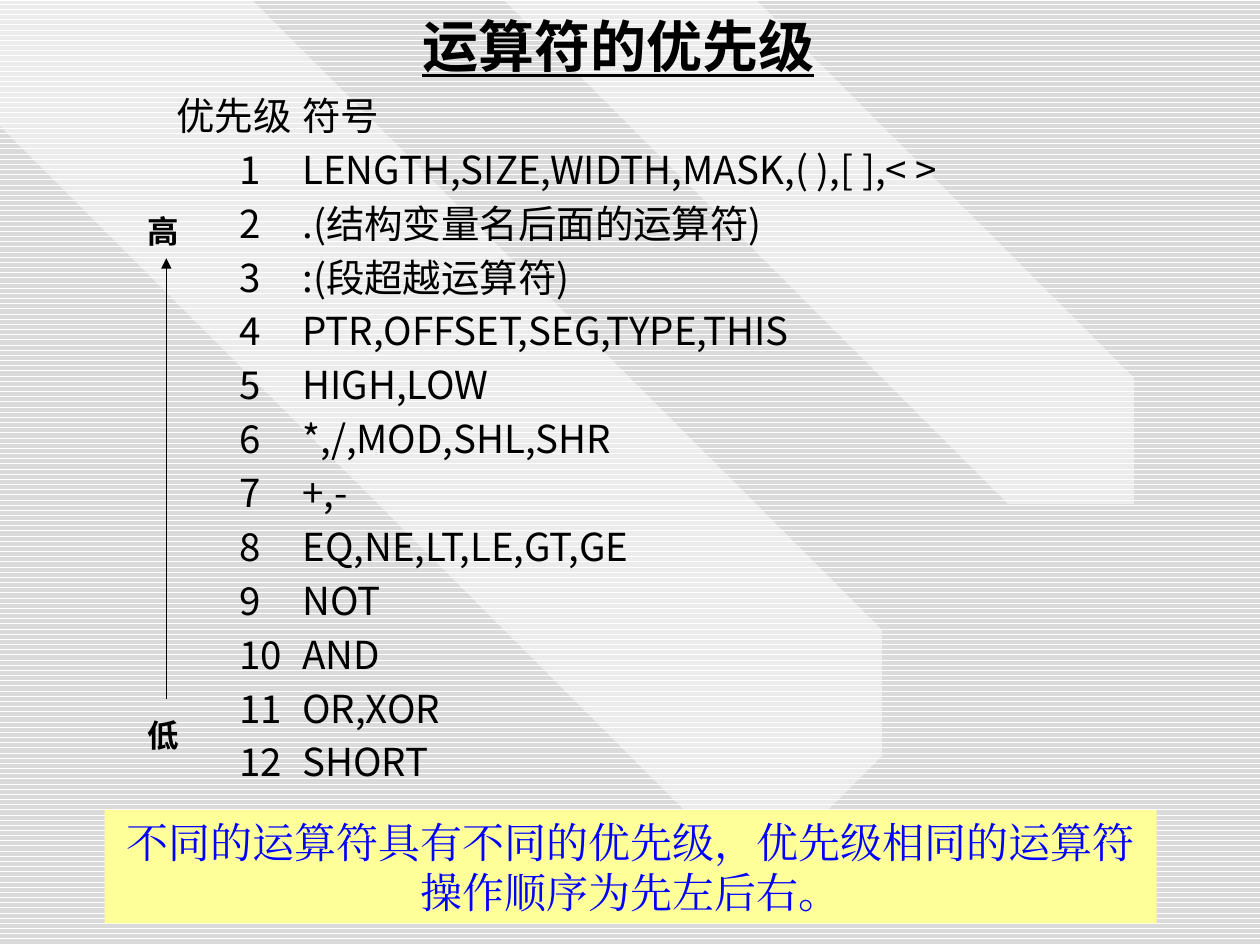
from lxml.etree import SubElement
from pptx import Presentation
from pptx.dml.color import RGBColor
from pptx.enum.dml import MSO_PATTERN
from pptx.enum.shapes import MSO_CONNECTOR, MSO_SHAPE
from pptx.enum.text import MSO_ANCHOR, MSO_AUTO_SIZE, PP_ALIGN
from pptx.oxml.ns import qn
from pptx.util import Emu, Inches, Pt

BLACK = RGBColor(0, 0, 0)
WHITE = RGBColor(255, 255, 255)
STRIPE_GREY = RGBColor(0xDA, 0xDA, 0xDA)
NOTE_YELLOW = RGBColor(0xFF, 0xFF, 0x99)
NOTE_BLUE = RGBColor(0, 0, 0xFF)
SANS, SERIF = "Noto Sans CJK SC", "Times New Roman"

# Diagonal ribbons, corners in inches
RIBBONS = [
    [(6.7, 5.93), (0.79, 0), (0, 0), (0, 0.84), (5.89, 6.75)],
    [(2.14, 0), (7.38, 5.27), (7.06, 5.59), (1.49, 0)],
    [(4.89, 0), (8.76, 3.89), (8.21, 4.44), (3.8, 0)],
    [(5.3, 0), (8.97, 3.68), (9.27, 3.38), (5.91, 0)],
]

# Tab stop of the symbol column, then the symbols of each level in turn
NUMBER_TAB = 0.13
HEADER_TAB = 1.81
LEVELS = [
    (0.99, ["LENGTH,SIZE,WIDTH,MASK,( ),[ ],< >", ".(结构变量名后面的运算符)",
            ":(段超越运算符)", "PTR,OFFSET,SEG,TYPE,THIS"]),
    (1.38, ["HIGH,LOW", "*,/,MOD,SHL,SHR", "+,-", "EQ,NE,LT,LE,GT,GE", "NOT"]),
    (2.37, ["AND", "OR,XOR", "SHORT"]),
]


def place(shape, box):
    for name, value in zip(("left", "top", "width", "height"), box):
        setattr(shape, name, Inches(value))


def format_frame(frame, **values):
    defaults = {"word_wrap": True, "auto_size": MSO_AUTO_SIZE.NONE,
                "vertical_anchor": MSO_ANCHOR.TOP}
    for name, value in {**defaults, **values}.items():
        setattr(frame, name, value)


def write(paragraph, text, size, color=BLACK, face=SANS, align=PP_ALIGN.LEFT, **values):
    paragraph.alignment = align
    run = paragraph.add_run()
    run.text = text
    run.font.color.rgb = color
    for name, value in {"size": Pt(size), "name": face, **values}.items():
        setattr(run.font, name, value)
    SubElement(run.font._element, qn("a:ea"), typeface=face)


def set_tabs(paragraph, stops):
    """Turn the bullet and indent off and set tab stops in inches."""
    properties = paragraph._p.get_or_add_pPr()
    properties.set("marL", "0")
    properties.set("indent", "0")
    SubElement(properties, qn("a:buNone"))
    tabs = SubElement(properties, qn("a:tabLst"))
    for stop in stops:
        SubElement(tabs, qn("a:tab"), pos=str(Inches(stop)), algn="l")


def add_background(slide):
    fill = slide.background.fill
    fill.patterned()
    fill.pattern = MSO_PATTERN.DARK_HORIZONTAL
    fill.fore_color.rgb = STRIPE_GREY
    fill.back_color.rgb = WHITE
    for index, (start, *others) in enumerate(RIBBONS):
        builder = slide.shapes.build_freeform(*start, scale=Inches(1))
        builder.add_line_segments(others, close=True)
        ribbon = builder.convert_to_shape()
        ribbon.shadow.inherit = False
        ribbon.line.fill.background()
        ribbon.fill.solid()
        ribbon.fill.fore_color.rgb = WHITE
        color = ribbon._element.spPr.find(qn("a:solidFill"))[0]
        SubElement(color, qn("a:alpha"), val="50000")
        # Ribbons lie behind the placeholders
        slide.shapes._spTree.insert(2 + index, ribbon._element)


def add_title(slide, box):
    title = slide.shapes.title
    place(title, box)
    format_frame(title.text_frame, word_wrap=False)
    paragraph = title.text_frame.paragraphs[0]
    paragraph.line_spacing = 0.9
    write(paragraph, "运算符的优先级", 32, bold=True, underline=True)


def add_levels(slide, box):
    body = slide.placeholders[1]
    place(body, box)
    frame = body.text_frame
    format_frame(frame)
    rows = [("优先级\t符号", [HEADER_TAB])]
    for tab, symbols in LEVELS:
        for text in symbols:
            rows.append((f"\t{len(rows)}\t{text}", [NUMBER_TAB, tab]))
    for index, (text, stops) in enumerate(rows):
        paragraph = frame.add_paragraph() if index else frame.paragraphs[0]
        paragraph.line_spacing = 1.0
        paragraph.space_before = Pt(4.4)
        set_tabs(paragraph, stops)
        write(paragraph, text, 22)


def add_scale(slide, box):
    """Arrow from low to high, with a label at each end."""
    left, top, width, height = box
    label_height = 0.4
    for text, label_top in (("高", top), ("低", top + height - label_height)):
        label = slide.shapes.add_textbox(0, 0, 0, 0)
        place(label, (left, label_top, width, label_height))
        format_frame(label.text_frame)
        write(label.text_frame.paragraphs[0], text, 18, bold=True)
    x = Inches(left + 0.25)
    arrow = slide.shapes.add_connector(
        MSO_CONNECTOR.STRAIGHT, x, Inches(top + height - 0.48), x, Inches(top + 0.42))
    arrow.line.color.rgb = BLACK
    arrow.line.width = Pt(0.75)
    SubElement(arrow.line._get_or_add_ln(), qn("a:tailEnd"), type="triangle")
    SubElement(arrow._element.spPr, qn("a:effectLst"))


def add_note(slide, box):
    note = slide.shapes.add_shape(MSO_SHAPE.RECTANGLE, Emu(0), Emu(0), Emu(0), Emu(0))
    place(note, box)
    note.shadow.inherit = False
    note.line.fill.background()
    note.fill.solid()
    note.fill.fore_color.rgb = NOTE_YELLOW
    format_frame(note.text_frame)
    write(note.text_frame.paragraphs[0],
          "不同的运算符具有不同的优先级，优先级相同的运算符操作顺序为先左后右。",
          24, NOTE_BLUE, SERIF, PP_ALIGN.CENTER)


def main():
    presentation = Presentation()
    presentation.slide_width, presentation.slide_height = Inches(10), Inches(7.5)
    slide = presentation.slides.add_slide(presentation.slide_layouts[1])
    add_background(slide)
    add_title(slide, (3.25, 0.1, 3.32, 0.58))
    add_levels(slide, (1.3, 0.68, 8.11, 5.75))
    add_scale(slide, (1.07, 1.63, 0.45, 4.4))
    add_note(slide, (0.83, 6.43, 8.35, 0.9))
    presentation.save("out.pptx")


if __name__ == "__main__":
    main()
